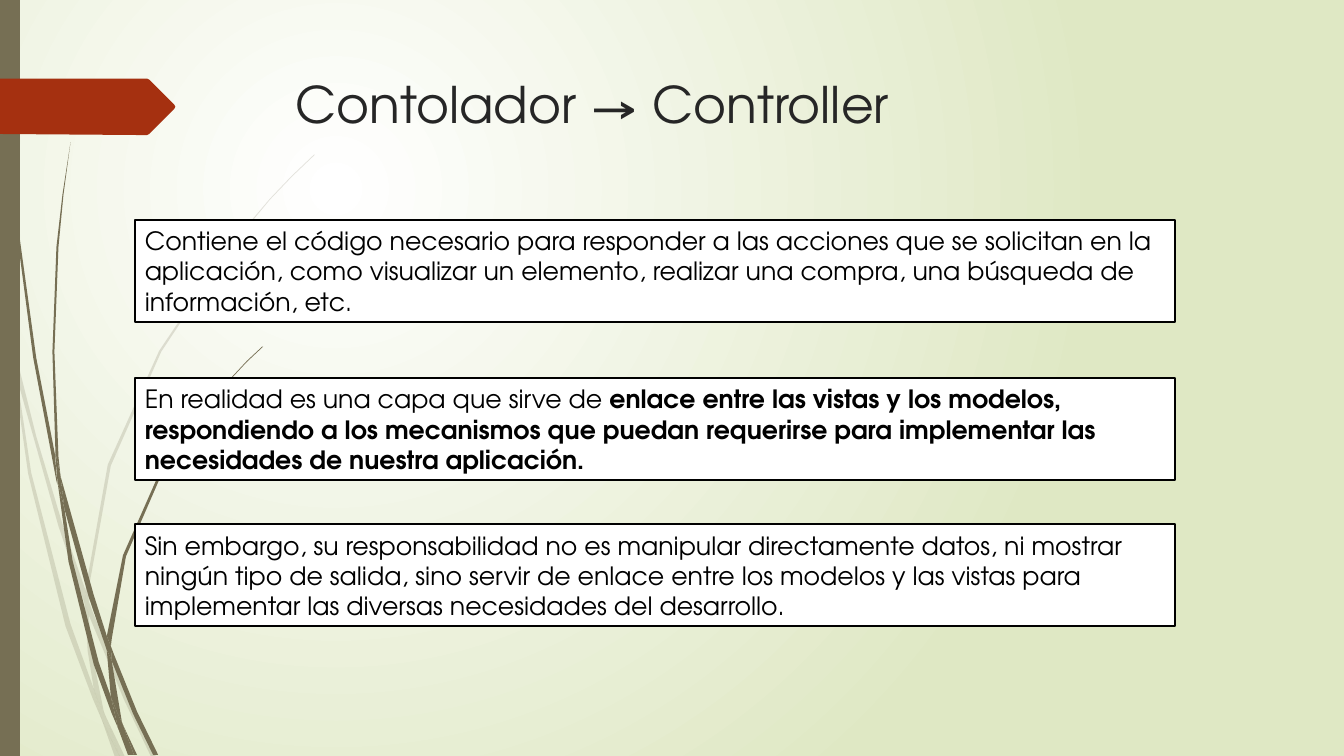
from lxml import etree
from pptx import Presentation
from pptx.dml.color import RGBColor
from pptx.enum.shapes import MSO_SHAPE
from pptx.enum.text import MSO_ANCHOR, MSO_AUTO_SIZE, PP_ALIGN
from pptx.oxml.ns import qn
from pptx.util import Cm, Pt

RECTANGLE = MSO_SHAPE.RECTANGLE
TOP, MIDDLE = MSO_ANCHOR.TOP, MSO_ANCHOR.MIDDLE
LEFT = PP_ALIGN.LEFT
GROW = MSO_AUTO_SIZE.SHAPE_TO_FIT_TEXT

FONT = "TeX Gyre Adventor"
OLIVE, RED, WHITE, BLACK = "766F54", "A53010", "FFFFFF", "000000"
TITLE_COLOR, PALE_GREEN = "262626", "DFE8C4"
UNIT = Cm(0.0254)  # grid step of the decorative outlines

TITLE = "Contolador → Controller"
# (top in cm, [(text, bold), ...])
BOXES = [
    (5.54, [("Contiene el código necesario para responder a las acciones que se solicitan en la "
             "aplicación, como visualizar un elemento, realizar una compra, una búsqueda de "
             "información, etc.", False)]),
    (9.53, [("En realidad es una capa que sirve de ", False),
            ("enlace entre las vistas y los modelos, respondiendo a los mecanismos que puedan "
             "requerirse para implementar las necesidades de nuestra aplicación.", True)]),
    (13.21, [("Sin embargo, su responsabilidad no es manipular directamente datos, ni mostrar "
              "ningún tipo de salida, sino servir de enlace entre los modelos y las vistas para "
              "implementar las diversas necesidades del desarrollo.", False)]),
]

# Corner points of each blade of grass, in grid steps
PALE_BLADES = [
    "11,350 9,322 0,282 0,299 10,344",
    "58,522 84,599 85,586 62,520 36,433 14,345 17,376",
    "92,607 88,596 88,610 123,694 150,751 155,751 127,692",
    "119,751 124,751 105,711",
    "93,683 70,619 31,469 17,376 11,350 28,470 65,621 92,693 101,714 99,707",
    "84,599 87,646 93,683 96,692 105,711 103,706 91,646 88,610 88,608",
    "88,584 110,462 160,349 229,245 268,198 290,175 312,154 312,153 289,175 268,197 228,244 "
    "158,348 107,461 85,584 85,586 88,596",
    "101,714 114,751 119,751",
    "88,608 88,610 88,596 85,586 84,599",
    "96,692 93,683 99,707 101,714 119,751 105,711",
]
DARK_BLADES = [
    "7,110 17,233 33,355 56,477 57,481 55,457 55,453 36,355 19,232 8,109 5,48 4,0 3,0 4,48",
    "88,592 106,645 106,633 106,631 93,590 60,472 64,505",
    "113,649 110,641 111,656 132,708 152,749 157,749 136,706",
    "110,691 98,657 72,556 64,505 57,477 68,557 93,659 111,708 117,722 116,717",
    "60,472 58,453 54,349 58,245 63,193 70,141 62,193 56,245 52,349 55,449",
    "133,749 136,749 122,719",
    "57,477 64,505 60,472 55,449 55,453",
    "111,633 125,552 158,476 205,406 231,374 245,359 261,344 260,344 245,358 231,373 204,405 "
    "156,474 122,551 106,631 110,641",
    "117,722 127,749 131,749",
    "106,645 110,691 116,706 122,719 121,716 111,656 109,651",
    "106,645 109,651 111,656 110,641 106,631 106,633",
    "116,706 110,691 116,717 117,722 130,749 133,749 122,719",
]
ARROW = "173,108 148,133 146,134 136,134 0,133 0,78 136,78 146,78 148,79 173,104 174,106"


def rgb(color):
    """Turn a hex string into a colour."""
    return RGBColor.from_string(color)


def paint(shape, fill, line=None, opacity=100):
    """Give a shape its fill, outline and opacity, without shadow."""
    shape.shadow.inherit = False
    shape.fill.solid()
    shape.fill.fore_color.rgb = rgb(fill)
    if opacity < 100:
        color = next(shape.element.spPr.iter(qn("a:srgbClr")))
        etree.SubElement(color, qn("a:alpha"), val=str(opacity * 1000))
    if line:
        shape.line.color.rgb = rgb(line)
        shape.line.width = Pt(1.25)
    else:
        shape.line.fill.background()


def add_outline(shapes, corners, fill, opacity=100):
    """Draw a closed filled outline from 'x,y x,y' corners."""
    points = [tuple(map(int, pair.split(","))) for pair in corners.split()]
    builder = shapes.build_freeform(*points[0], scale=UNIT)
    builder.add_line_segments(points[1:], close=True)
    paint(builder.convert_to_shape(), fill, opacity=opacity)


def write(shape, runs, size=18, color=BLACK, anchor=MIDDLE):
    """Write (text, bold) runs as one left-aligned paragraph."""
    frame = shape.text_frame
    frame.word_wrap = True
    frame.vertical_anchor = anchor
    paragraph = frame.paragraphs[0]
    paragraph.alignment = LEFT
    for text, bold in runs:
        run = paragraph.add_run()
        run.text = text
        run.font.name, run.font.size, run.font.bold = FONT, Pt(size), bold
        run.font.color.rgb = rgb(color)


def set_background(slide):
    """Fill the background with a circular gradient centred up and left."""
    fill = slide.background.fill
    fill.gradient()
    for stop, color in zip(fill.gradient_stops, (WHITE, PALE_GREEN)):
        stop.color.rgb = rgb(color)
    linear = next(slide.element.iter(qn("a:lin")))
    circle = etree.Element(qn("a:path"), path="circle")
    etree.SubElement(circle, qn("a:fillToRect"), l="50000", t="50000", r="100000", b="100000")
    linear.getparent().replace(linear, circle)


presentation = Presentation()
presentation.slide_width, presentation.slide_height = Cm(33.87), Cm(19.05)
slide = presentation.slides.add_slide(presentation.slide_layouts[6])
set_background(slide)

for blades, opacity in ((PALE_BLADES, 20), (DARK_BLADES, 100)):
    group = slide.shapes.add_group_shape()
    for blade in blades:
        add_outline(group.shapes, blade, OLIVE, opacity)

side_bar = slide.shapes.add_shape(RECTANGLE, 0, 0, Cm(0.5), presentation.slide_height)
paint(side_bar, OLIVE)
add_outline(slide.shapes, ARROW, RED)

title = slide.shapes.add_textbox(Cm(7.21), Cm(1.73), Cm(24.77), Cm(3.56))
write(title, [(TITLE, False)], size=36, color=TITLE_COLOR, anchor=TOP)

for top, runs in BOXES:
    box = slide.shapes.add_shape(RECTANGLE, Cm(3.4), Cm(top), Cm(26.21), Cm(2.57))
    paint(box, WHITE, line=BLACK)
    write(box, runs)
    box.text_frame.auto_size = GROW

presentation.save("out.pptx")
